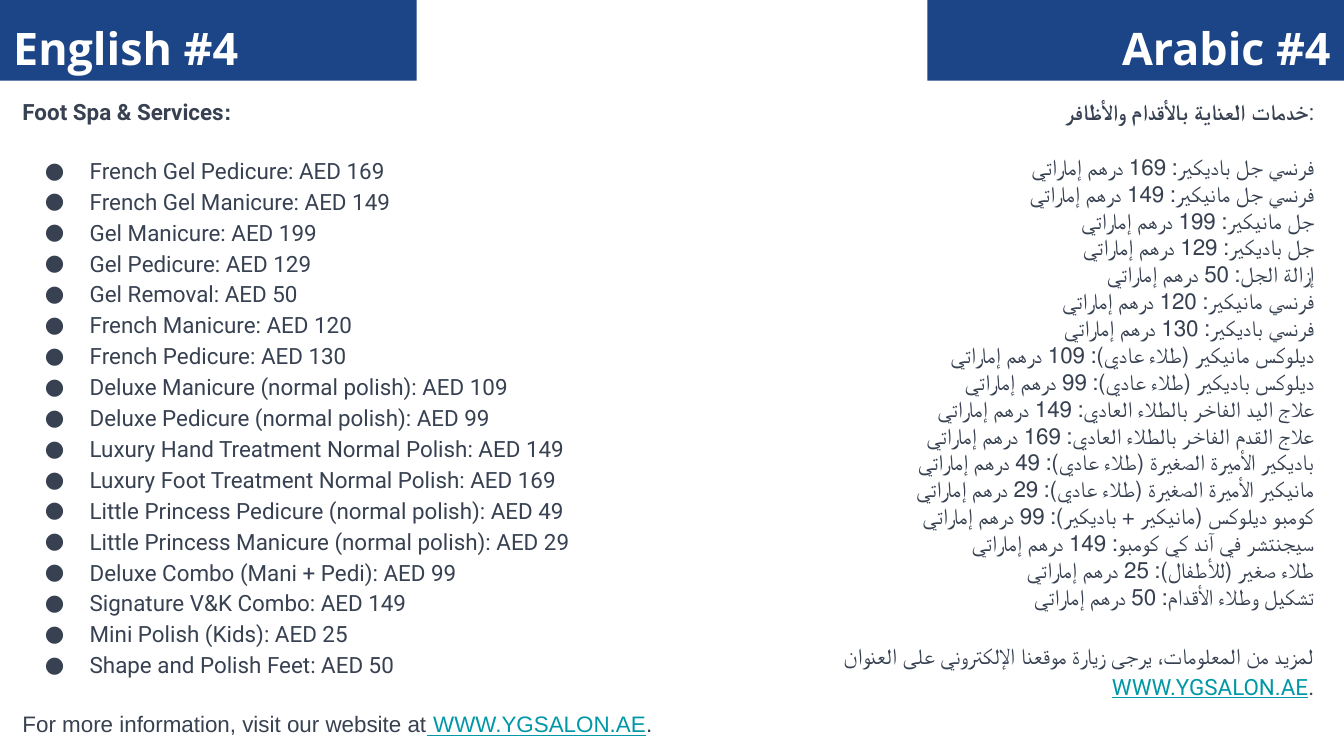
from lxml import etree
from pptx import Presentation
from pptx.dml.color import RGBColor
from pptx.enum.shapes import MSO_SHAPE
from pptx.enum.text import MSO_ANCHOR, MSO_AUTO_SIZE, PP_ALIGN
from pptx.oxml.ns import qn
from pptx.util import Pt

LEFT, RIGHT = PP_ALIGN.LEFT, PP_ALIGN.RIGHT
RECTANGLE = MSO_SHAPE.RECTANGLE
TOP, BOTTOM = MSO_ANCHOR.TOP, MSO_ANCHOR.BOTTOM
GROW = MSO_AUTO_SIZE.SHAPE_TO_FIT_TEXT

# Content
ENGLISH_TITLE = "English #4"
ENGLISH_HEADING = "Foot Spa & Services"
ENGLISH_SERVICES = [
    "French Gel Pedicure: AED 169",
    "French Gel Manicure: AED 149",
    "Gel Manicure: AED 199",
    "Gel Pedicure: AED 129",
    "Gel Removal: AED 50",
    "French Manicure: AED 120",
    "French Pedicure: AED 130",
    "Deluxe Manicure (normal polish): AED 109",
    "Deluxe Pedicure (normal polish): AED 99",
    "Luxury Hand Treatment Normal Polish: AED 149",
    "Luxury Foot Treatment Normal Polish: AED 169",
    "Little Princess Pedicure (normal polish): AED 49",
    "Little Princess Manicure (normal polish): AED 29",
    "Deluxe Combo (Mani + Pedi): AED 99",
    "Signature V&K Combo: AED 149",
    "Mini Polish (Kids): AED 25",
    "Shape and Polish Feet: AED 50",
]
ENGLISH_INVITATION = "For more information, visit our website at"

ARABIC_TITLE = "Arabic #4"
ARABIC_HEADING = "خدمات العناية بالأقدام والأظافر"
ARABIC_SERVICES = [
    "فرنسي جل باديكير: 169 درهم إماراتي",
    "فرنسي جل مانيكير: 149 درهم إماراتي",
    "جل مانيكير: 199 درهم إماراتي",
    "جل باديكير: 129 درهم إماراتي",
    "إزالة الجل: 50 درهم إماراتي",
    "فرنسي مانيكير: 120 درهم إماراتي",
    "فرنسي باديكير: 130 درهم إماراتي",
    "ديلوكس مانيكير (طلاء عادي): 109 درهم إماراتي",
    "ديلوكس باديكير (طلاء عادي): 99 درهم إماراتي",
    "علاج اليد الفاخر بالطلاء العادي: 149 درهم إماراتي",
    "علاج القدم الفاخر بالطلاء العادي: 169 درهم إماراتي",
    "باديكير الأميرة الصغيرة (طلاء عادي): 49 درهم إماراتي",
    "مانيكير الأميرة الصغيرة (طلاء عادي): 29 درهم إماراتي",
    "كومبو ديلوكس (مانيكير + باديكير): 99 درهم إماراتي",
    "سيجنتشر في آند كي كومبو: 149 درهم إماراتي",
    "طلاء صغير (للأطفال): 25 درهم إماراتي",
    "تشكيل وطلاء الأقدام: 50 درهم إماراتي",
]
ARABIC_INVITATION = "لمزيد من المعلومات، يرجى زيارة موقعنا الإلكتروني على العنوان"
WEBSITE = " WWW.YGSALON.AE"

# Look
COLORS = {"band": "1C4587", "title": "FFFFFF", "text": "374151", "link": "0097A7"}
SLIDE_WIDTH, SLIDE_HEIGHT = 720, 405
BAND_WIDTH, BAND_HEIGHT = 223.2, 43.2
SECTION_GAP = 15
LOOSE = 1.15


def color(name):
    return RGBColor.from_string(COLORS[name])


def add_run(paragraph, text, *, font="Roboto", size=12, fill="text", bold=False, underline=False):
    run = paragraph.add_run()
    run.text = text
    run.font.name = font
    run.font.size = Pt(size)
    run.font.bold = bold
    run.font.underline = underline
    run.font.color.rgb = color(fill)


def add_bullet(paragraph):
    properties = paragraph._p.get_or_add_pPr()
    properties.set("marL", str(Pt(36)))
    properties.set("indent", str(Pt(-24)))
    bullet_color = etree.SubElement(properties, qn("a:buClr"))
    etree.SubElement(bullet_color, qn("a:srgbClr"), val=COLORS["text"])
    etree.SubElement(properties, qn("a:buFont"), typeface="Roboto")
    etree.SubElement(properties, qn("a:buChar"), char="●")


def set_frame(frame, anchor, vertical_inset):
    frame.word_wrap = True
    frame.vertical_anchor = anchor
    frame.margin_left = frame.margin_right = Pt(7.2)
    frame.margin_top = frame.margin_bottom = Pt(vertical_inset)


def add_price_list(slide, box, heading, services, invitation, *, alignment, spacing,
                   bullets, plain_font, bold_colon):
    shape = slide.shapes.add_textbox(*(Pt(length) for length in box))
    frame = shape.text_frame
    set_frame(frame, TOP, 7.2)
    frame.auto_size = GROW

    def new_paragraph(line_spacing, gap=0):
        paragraph = frame.add_paragraph() if gap is not None else frame.paragraphs[0]
        paragraph.alignment = alignment
        paragraph.line_spacing = line_spacing
        paragraph.space_before = Pt(gap or 0)
        return paragraph

    paragraph = new_paragraph(LOOSE, None)
    add_run(paragraph, heading, bold=True)
    add_run(paragraph, ":", font=plain_font, bold=bold_colon)

    for index, service in enumerate(services):
        paragraph = new_paragraph(spacing, 0 if index else SECTION_GAP)
        if bullets:
            add_bullet(paragraph)
        add_run(paragraph, service)

    paragraph = new_paragraph(LOOSE, SECTION_GAP)
    add_run(paragraph, invitation, font=plain_font)
    add_run(paragraph, WEBSITE, font=plain_font, fill="link", underline=True)
    add_run(paragraph, ".", font=plain_font)


def add_band(slide, left, title, alignment):
    shape = slide.shapes.add_shape(RECTANGLE, Pt(left), Pt(0), Pt(BAND_WIDTH), Pt(BAND_HEIGHT))
    shape.shadow.inherit = False
    shape.fill.solid()
    shape.fill.fore_color.rgb = color("band")
    shape.line.fill.background()
    set_frame(shape.text_frame, BOTTOM, 3.6)
    paragraph = shape.text_frame.paragraphs[0]
    paragraph.alignment = alignment
    add_run(paragraph, title, font="Open Sans", size=24, fill="title", bold=True)


presentation = Presentation()
presentation.slide_width = Pt(SLIDE_WIDTH)
presentation.slide_height = Pt(SLIDE_HEIGHT)
slide = presentation.slides.add_slide(presentation.slide_layouts[6])

# Price lists
add_price_list(slide, (5, BAND_HEIGHT, 384.5, 409), ENGLISH_HEADING, ENGLISH_SERVICES,
               ENGLISH_INVITATION, alignment=LEFT, spacing=LOOSE, bullets=True,
               plain_font="Arial", bold_colon=True)
add_price_list(slide, (411, BAND_HEIGHT, 300.2, 357), ARABIC_HEADING, ARABIC_SERVICES,
               ARABIC_INVITATION, alignment=RIGHT, spacing=1.0, bullets=False,
               plain_font="Roboto", bold_colon=False)

# Title bands
add_band(slide, 0, ENGLISH_TITLE, LEFT)
add_band(slide, SLIDE_WIDTH - BAND_WIDTH, ARABIC_TITLE, RIGHT)

presentation.save("out.pptx")
